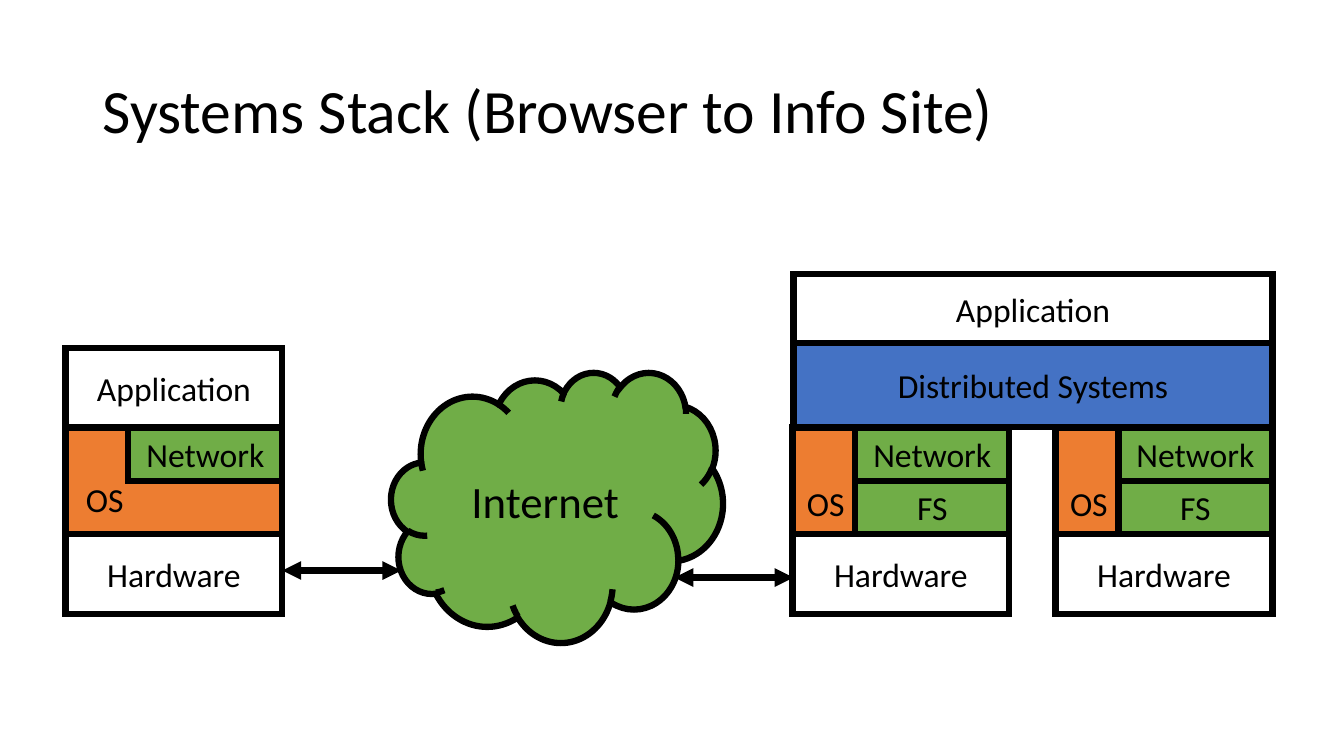
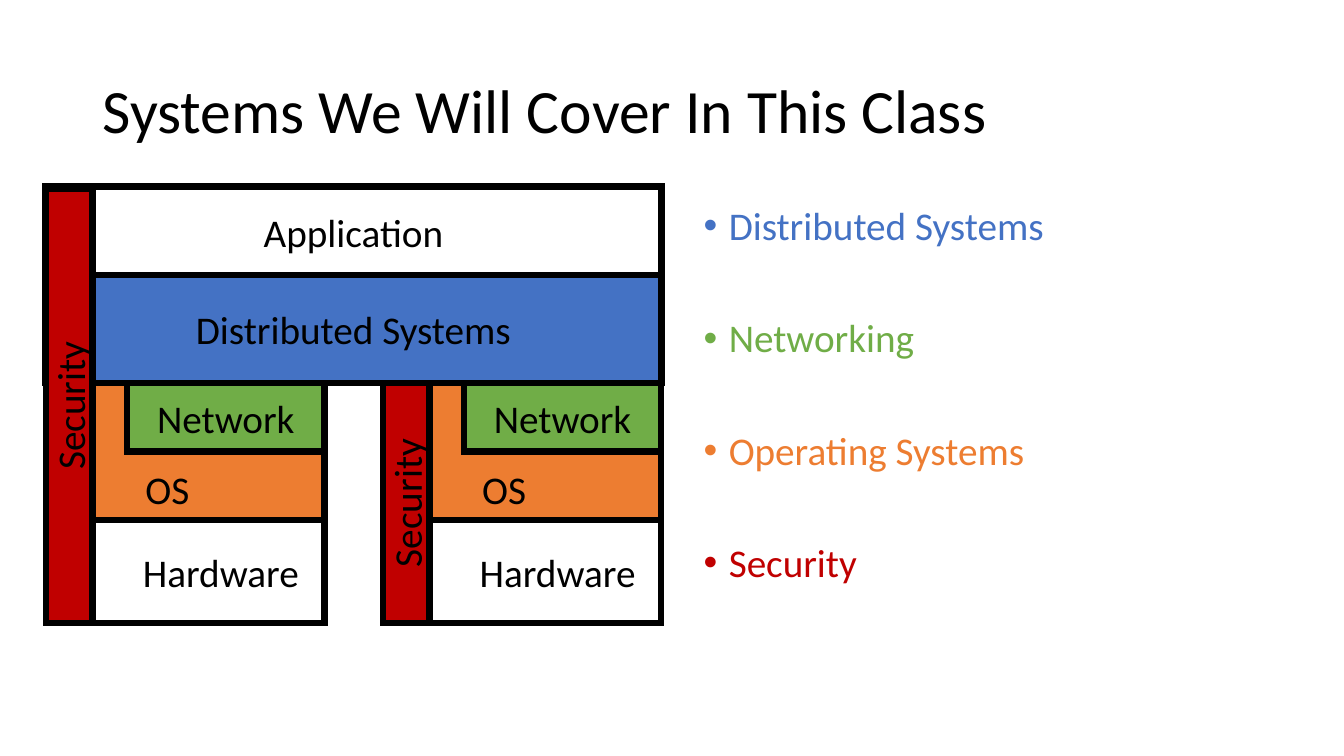
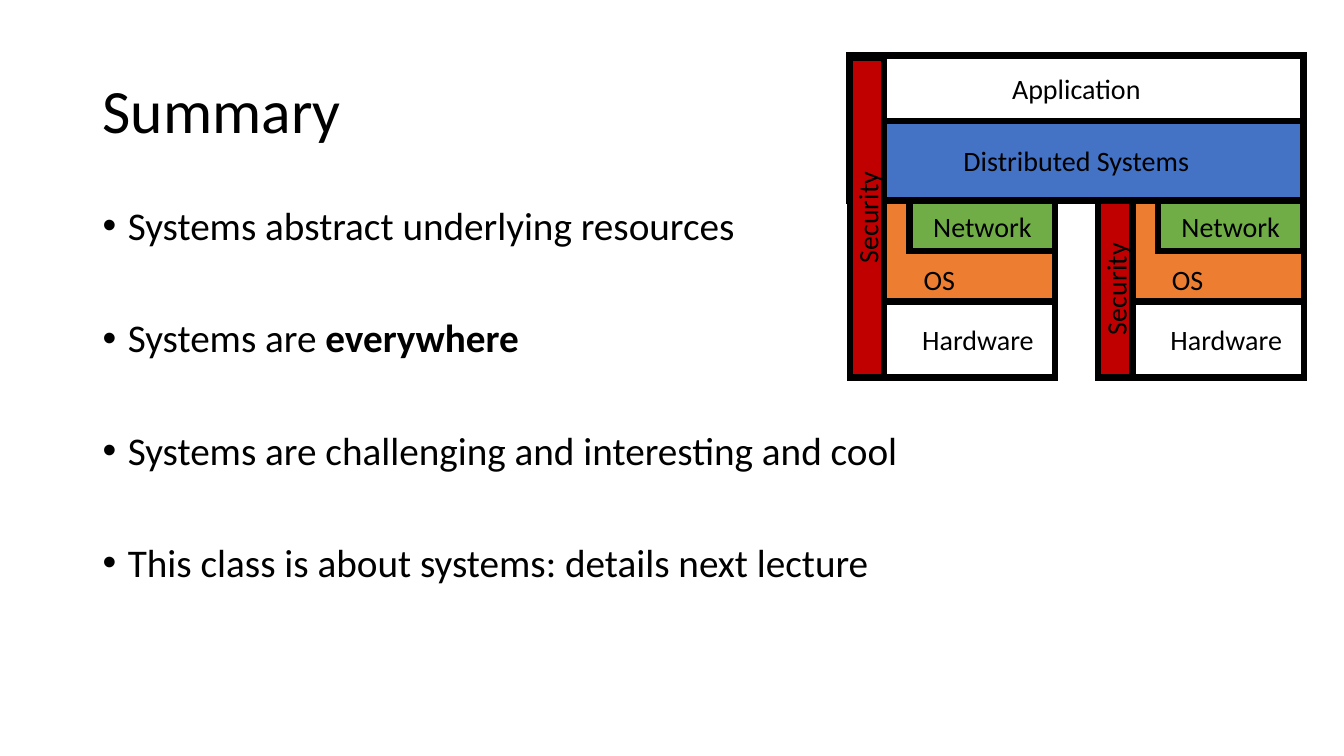
from lxml import etree
from pptx import Presentation
from pptx import util as u
from pptx.dml.color import RGBColor
from pptx.enum import shapes, text
from pptx.oxml import ns

BLACK, WHITE, BLUE, GREEN, ORANGE, RED = (
    "000000", "FFFFFF", "4472C4", "70AD47", "ED7D31", "C00000")
FONT = "Calibri"
LINE_WIDTH = 4.5
HOST_WIDTH, HOST_HEIGHT = 2.76, 2.38
STACK_WIDTH = 6.11
LABEL_WIDTH = 0.9


def rgb(value):
    """Turn a hex string into a colour."""
    return RGBColor.from_string(value)


def apply(obj, formats):
    """Set each attribute named in a dict."""
    for name, value in formats.items():
        setattr(obj, name, value)


def add_run(p, words, size, color=BLACK, bold=False):
    """Append one formatted run to a paragraph."""
    r = p.add_run()
    r.text = words
    apply(r.font, {"name": FONT, "size": u.Pt(size), "bold": bold})
    r.font.color.rgb = rgb(color)


def add_box(slide, x, y, w, h, anchor=text.MSO_ANCHOR.TOP):
    """Add an empty text box and return its text frame."""
    tf = slide.shapes.add_textbox(*map(u.Inches, (x, y, w, h))).text_frame
    apply(tf, {"word_wrap": True, "vertical_anchor": anchor})
    return tf


def style_line(line):
    """Give an outline or arrow its colour and width, and return its XML."""
    line.color.rgb = rgb(BLACK)
    line.width = u.Pt(LINE_WIDTH)
    return line._get_or_add_ln()


def add_block(slide, x, y, w, h, fill, words="", size=24, indent=0.1,
              kind=shapes.MSO_SHAPE.RECTANGLE):
    """Add an outlined block with centred text."""
    sp = slide.shapes.add_shape(kind, *map(u.Inches, (x, y, w, h)))
    sp.shadow.inherit = False
    sp.fill.solid()
    sp.fill.fore_color.rgb = rgb(fill)
    etree.SubElement(style_line(sp.line), ns.qn("a:miter"), lim="800000")
    tf = sp.text_frame
    apply(tf, {"word_wrap": True, "margin_left": u.Inches(indent),
               "vertical_anchor": text.MSO_ANCHOR.MIDDLE})
    if words:
        p = tf.paragraphs[0]
        p.alignment = text.PP_ALIGN.CENTER
        add_run(p, words, size)
    return sp


def add_arrow(slide, x, y, length):
    """Add a horizontal double-headed arrow."""
    cn = slide.shapes.add_connector(
        shapes.MSO_CONNECTOR.STRAIGHT,
        *map(u.Inches, (x, y, x + length, y)))
    ln = style_line(cn.line)
    for end in ("a:headEnd", "a:tailEnd"):
        etree.SubElement(ln, ns.qn(end), type="triangle")
    etree.SubElement(cn._element.spPr, ns.qn("a:effectLst"))


def add_title_slide(prs, title):
    """Add a blank slide with the shared title style."""
    slide = prs.slides.add_slide(prs.slide_layouts[6])
    tf = add_box(slide, 0.92, 0.4, 11.5, 1.45, text.MSO_ANCHOR.MIDDLE)
    p = tf.paragraphs[0]
    p.line_spacing = 0.9
    add_run(p, title, 44)
    return slide


def add_bullets(slide, x, w, items):
    """Add a bulleted list of (colour, runs) items."""
    tf = add_box(slide, x, 2, w, 4.76)
    for i, (color, runs) in enumerate(items):
        p = tf.add_paragraph() if i else tf.paragraphs[0]
        apply(p, {"line_spacing": 0.9, "space_before": u.Pt(50 if i else 0)})
        pPr = p._p.get_or_add_pPr()
        pPr.set("marL", str(u.Inches(0.25)))
        pPr.set("indent", str(u.Inches(-0.25)))
        bu = etree.SubElement(pPr, ns.qn("a:buClr"))
        etree.SubElement(bu, ns.qn("a:srgbClr"), val=color)
        etree.SubElement(pPr, ns.qn("a:buFont"), typeface="Arial")
        etree.SubElement(pPr, ns.qn("a:buChar"), char="•")
        for words, bold in runs:
            add_run(p, words, 28, color, bold)


def add_host(slide, x, y, w, size, os_at, indent=0.1, storage=False):
    """Add hardware, OS and network blocks; os_at is the label's top centre."""
    k = w / HOST_WIDTH
    net_x, net_w, net_h = x + 0.8 * k, 1.96 * k, 0.68 * k
    add_block(slide, x, y + 1.36 * k, w, 1.02 * k, WHITE, "Hardware", size,
              indent)
    add_block(slide, x, y, w, 1.36 * k, ORANGE)
    add_block(slide, net_x, y, net_w, net_h, GREEN, "Network", size)
    if storage:
        add_block(slide, net_x, y + net_h, net_w, net_h, GREEN, "FS", size)
    label_x, label_y = os_at
    tf = add_box(slide, x + label_x - LABEL_WIDTH / 2, y + label_y,
                 LABEL_WIDTH, 0.5)
    tf.paragraphs[0].alignment = text.PP_ALIGN.CENTER
    add_run(tf.paragraphs[0], "OS", size)


def add_security(slide, x, y, w, h, size):
    """Add an upright security bar whose text reads upwards."""
    sp = add_block(slide, x + (w - h) / 2, y + (h - w) / 2, h, w, RED,
                   "Security", size)
    sp.rotation = 270


def add_secured_stack(slide, x, y, w, size):
    """Add the two-host stack with security bars, scaled to a width."""
    k = w / STACK_WIDTH
    hosts_y = y + 1.95 * k
    bottom = hosts_y + HOST_HEIGHT * k
    add_block(slide, x, y, w, 0.89 * k, WHITE, "Application", size)
    add_block(slide, x, y + 0.88 * k, w, 1.07 * k, BLUE,
              "Distributed Systems", size)
    for host_x, bar_y in ((x + 0.01, y + 0.02), (x + 3.35 * k, hosts_y)):
        add_host(slide, host_x, hosts_y, HOST_WIDTH * k, size,
                 (1.2 * k, 0.77 * k), indent=0.1 + 0.025 * size)
        add_security(slide, host_x, bar_y, 0.46 * k, bottom - bar_y, size)


def add_client(slide, x, y, w):
    """Add the client: one host below its application."""
    add_host(slide, x, y, w, 24, (0.39, 0.46))
    add_block(slide, x, y - 0.79, w, 0.79, WHITE, "Application")


def add_server(slide, x, y, w, host_w):
    """Add the server: two hosts below a distributed application."""
    add_block(slide, x, y - 1.52, w, 0.69, WHITE, "Application")
    add_block(slide, x, y - 0.84, w, 0.84, BLUE, "Distributed Systems")
    for host_x in (x - 0.01, x + w - host_w):
        add_host(slide, host_x, y, host_w, 24, (0.33, 0.5), storage=True)


def build_network_slide(prs):
    """Build the client, internet and server slide."""
    slide = add_title_slide(prs, "Systems Stack (Browser to Info Site)")
    add_block(slide, 3.88, 3.69, 3.29, 2.68, GREEN, "Internet", 32,
              kind=shapes.MSO_SHAPE.CLOUD)
    add_arrow(slide, 6.69, 5.73, 1.18)
    add_arrow(slide, 2.8, 5.66, 1.18)
    add_client(slide, 0.65, 4.24, 2.15)
    add_server(slide, 7.87, 4.24, 4.75, 2.15)


def build_topics_slide(prs):
    """Build the slide of topics beside the stack."""
    slide = add_title_slide(prs, "Systems We Will Cover In This Class")
    topics = ((BLUE, "Distributed Systems"), (GREEN, "Networking"),
              (ORANGE, "Operating Systems"), (RED, "Security"))
    add_bullets(slide, 6.88, 5.53, [(c, [(t, False)]) for c, t in topics])
    add_secured_stack(slide, 0.45, 1.85, STACK_WIDTH, 28)


def build_summary_slide(prs):
    """Build the closing slide."""
    slide = add_title_slide(prs, "Summary")
    points = (
        [("Systems abstract underlying resources", False)],
        [("Systems are ", False), ("everywhere", True)],
        [("Systems are challenging and interesting and cool", False)],
        [("This class is about systems: details next lecture", False)])
    add_bullets(slide, 0.92, 11.5, [(BLACK, runs) for runs in points])
    add_secured_stack(slide, 8.42, 0.55, 4.51, 20)


def main():
    """Build and save the presentation."""
    prs = Presentation()
    apply(prs, {"slide_width": u.Inches(13.33),
                "slide_height": u.Inches(7.5)})
    for build in (build_network_slide, build_topics_slide,
                  build_summary_slide):
        build(prs)
    prs.save("out.pptx")


if __name__ == "__main__":
    main()
